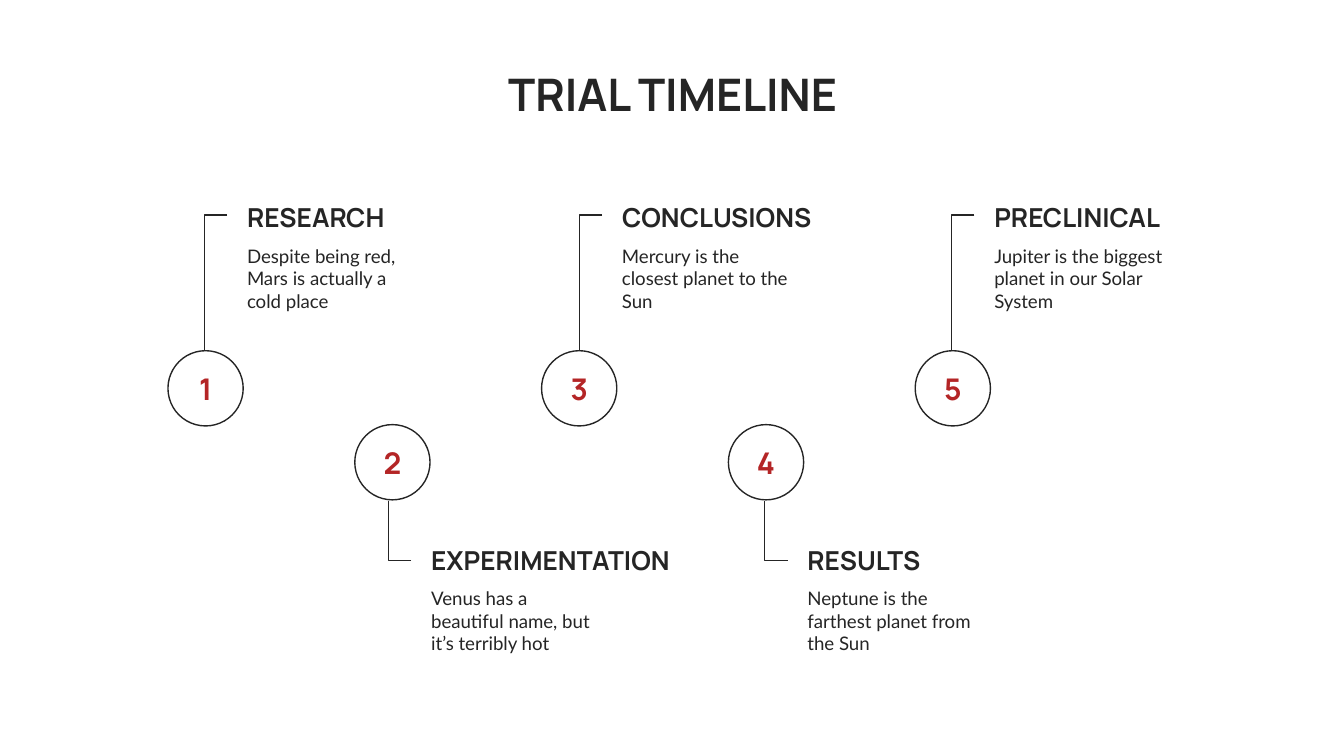
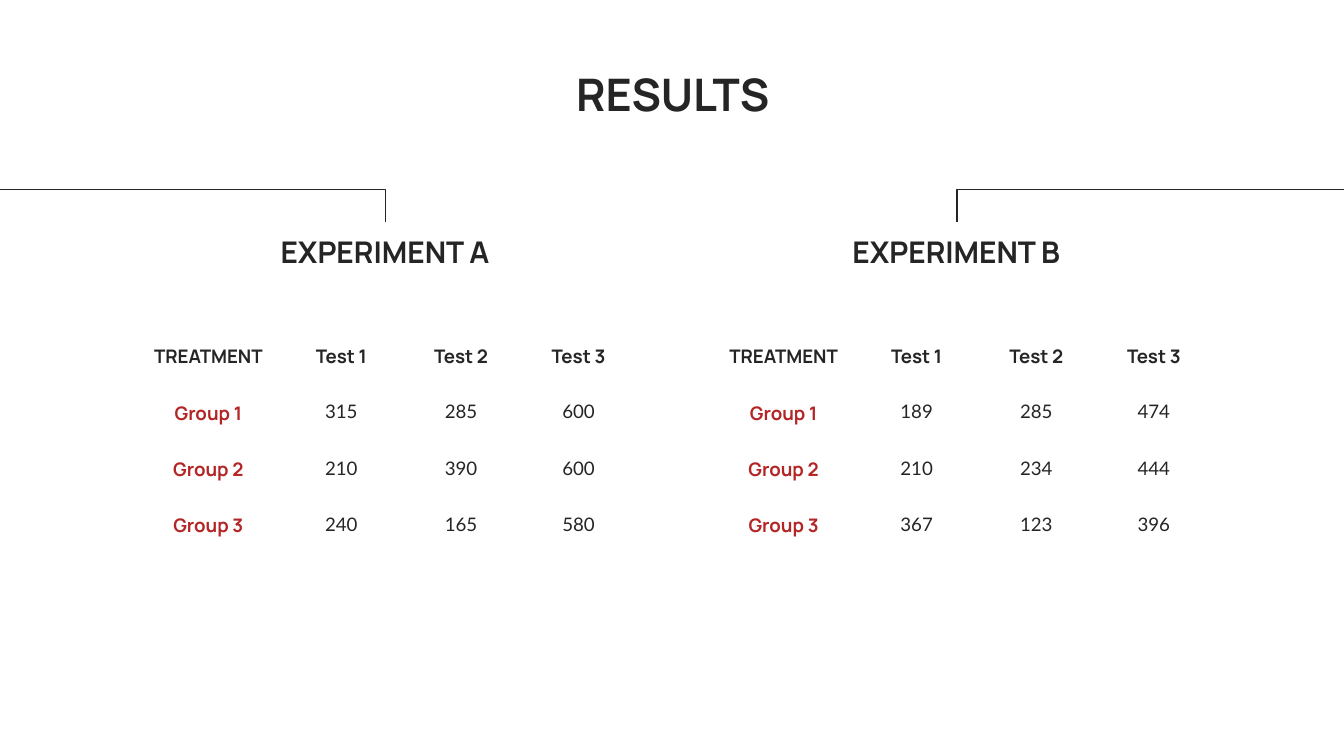
from dataclasses import dataclass

from pptx import Presentation
from pptx import util as u
from pptx.dml.color import RGBColor
from pptx.enum import shapes, text


@dataclass(frozen=True)
class Theme:
    ink: RGBColor = RGBColor(0x25, 0x25, 0x25)
    accent: RGBColor = RGBColor(0xB4, 0x25, 0x26)
    paper: RGBColor = RGBColor(0xFF, 0xFF, 0xFF)
    display: str = "Manrope"
    body: str = "Lato"
    title_size: int = 24
    large_size: int = 16
    heading_size: int = 14
    body_size: int = 10
    line_width: float = 0.75
    inset: float = 0.1


THEME = Theme()
LEFT, CENTER = text.PP_ALIGN.LEFT, text.PP_ALIGN.CENTER
TOP, MIDDLE, BOTTOM = (text.MSO_ANCHOR.TOP, text.MSO_ANCHOR.MIDDLE,
                       text.MSO_ANCHOR.BOTTOM)
SLIDE_WIDTH = 10
SLIDE_HEIGHT = SLIDE_WIDTH * 9 / 16
TITLE_ONLY = 5

CIRCLE_SIZE, FIRST_CIRCLE, CIRCLE_PITCH = 0.56, 1.25, 1.39
UPPER = {"circle": 2.61, "heading": 1.4, "elbow": 1.6, "joint": 2.61}
LOWER = {"circle": 3.16, "heading": 3.95, "elbow": 4.17, "joint": 3.73}

# heading, description, elbow x, heading width
STEPS = [
    ("RESEARCH", "Despite being red, Mars is actually a cold place", 1.52, 1.47),
    ("EXPERIMENTATION", "Venus has a beautiful name, but it’s terribly hot", 2.89, 2.35),
    ("CONCLUSIONS", "Mercury is the closest planet to the Sun", 4.31, 1.78),
    ("RESULTS", "Neptune is the farthest planet from the Sun", 5.69, 1.34),
    ("PRECLINICAL", "Jupiter is the biggest planet in our Solar System", 7.08, 1.47),
]

TESTS = ["TREATMENT", "Test 1", "Test 2", "Test 3"]
COLUMN_WIDTHS = [1.08, 0.9, 0.88, 0.87]
ROW_HEIGHTS = [0.43] + [0.42] * 4

# heading, elbow x, slide edge x, table left, values by group
EXPERIMENTS = [
    ("EXPERIMENT A", 2.87, 0, 1.01,
     [(315, 285, 600), (210, 390, 600), (240, 165, 580)]),
    ("EXPERIMENT B", 7.12, SLIDE_WIDTH, 5.29,
     [(189, 285, 474), (210, 234, 444), (367, 123, 396)]),
]


def inches(*lengths):
    return [u.Inches(length) for length in lengths]


def apply(target, values):
    for name, value in values.items():
        setattr(target, name, value)


def margins(inset):
    sides = ("left", "right", "top", "bottom")
    return {f"margin_{side}": u.Inches(inset) for side in sides}


def write(paragraph, words, size, font=THEME.display, color=THEME.ink, align=LEFT):
    """Display type is bold; body type is regular."""
    paragraph.alignment = align
    run = paragraph.add_run()
    run.text = words
    apply(run.font, {"name": font, "size": u.Pt(size),
                     "bold": font == THEME.display})
    run.font.color.rgb = color


def write_frame(frame, words, size, anchor=TOP, inset=THEME.inset, **style):
    apply(frame, {"word_wrap": True, "auto_size": text.MSO_AUTO_SIZE.NONE,
                  "vertical_anchor": anchor, **margins(inset)})
    write(frame.paragraphs[0], words, size, **style)


def add_titled_slide(deck, heading):
    slide = deck.slides.add_slide(deck.slide_layouts[TITLE_ONLY])
    slide.background.fill.solid()
    slide.background.fill.fore_color.rgb = THEME.paper
    title = slide.shapes.title
    apply(title, dict(zip(("left", "top", "width", "height"),
                          inches(2.39, 0.3, 5.23, 0.7))))
    write_frame(title.text_frame, heading, THEME.title_size,
                anchor=BOTTOM, align=CENTER)
    return slide


def add_text(slide, box, words, size, **style):
    label = slide.shapes.add_textbox(*inches(*box))
    write_frame(label.text_frame, words, size, **style)


def draw_outline(shape):
    shape.shadow.inherit = False
    shape.fill.background()
    shape.line.color.rgb = THEME.ink
    shape.line.width = u.Pt(THEME.line_width)


def add_elbow(slide, start, corner, end):
    builder = slide.shapes.build_freeform(*inches(*start))
    builder.add_line_segments([inches(*corner), inches(*end)], close=False)
    draw_outline(builder.convert_to_shape())


def add_numbered_circle(slide, number, left, top):
    circle = slide.shapes.add_shape(
        shapes.MSO_SHAPE.OVAL, *inches(left, top, CIRCLE_SIZE, CIRCLE_SIZE))
    draw_outline(circle)
    write_frame(circle.text_frame, str(number), THEME.large_size, anchor=MIDDLE,
                inset=0, color=THEME.accent, align=CENTER)


def add_step(slide, index, heading, description, elbow_x, heading_width):
    row = LOWER if index % 2 else UPPER
    text_left = elbow_x + 0.22
    add_numbered_circle(slide, index + 1,
                        FIRST_CIRCLE + index * CIRCLE_PITCH, row["circle"])
    add_elbow(slide, (elbow_x + 0.17, row["elbow"]), (elbow_x, row["elbow"]),
              (elbow_x, row["joint"]))
    add_text(slide, (text_left, row["heading"], heading_width, 0.42),
             heading, THEME.heading_size)
    add_text(slide, (text_left, row["heading"] + 0.32, 1.47, 0.79),
             description, THEME.body_size, font=THEME.body)


def add_results_table(slide, left, groups):
    """The top row stays empty, with its test columns merged."""
    frame = slide.shapes.add_table(
        len(ROW_HEIGHTS), len(COLUMN_WIDTHS),
        *inches(left, 2.03, sum(COLUMN_WIDTHS), sum(ROW_HEIGHTS)))
    table = frame.table
    apply(table, {"first_row": False, "horz_banding": False})
    for column, width in zip(table.columns, COLUMN_WIDTHS):
        column.width = u.Inches(width)
    for row, height in zip(table.rows, ROW_HEIGHTS):
        row.height = u.Inches(height)
    for cell in table.iter_cells():
        cell.fill.background()
    table.cell(0, 1).merge(table.cell(0, 3))

    rows = [TESTS] + [(f"Group {number}", *values)
                      for number, values in enumerate(groups, 1)]
    for row_index, values in enumerate(rows, 1):
        for column_index, value in enumerate(values):
            cell = table.cell(row_index, column_index)
            apply(cell, margins(THEME.inset))
            is_group = row_index > 1 and column_index == 0
            is_value = row_index > 1 and column_index > 0
            write(cell.text_frame.paragraphs[0], str(value), THEME.body_size,
                  font=THEME.body if is_value else THEME.display,
                  color=THEME.accent if is_group else THEME.ink, align=CENTER)


def add_experiment(slide, heading, elbow_x, edge_x, table_left, groups):
    add_results_table(slide, table_left, groups)
    add_text(slide, (elbow_x - 1.26, 1.64, 2.51, 0.42), heading,
             THEME.large_size, align=CENTER)
    add_elbow(slide, (elbow_x, 1.65), (elbow_x, 1.41), (edge_x, 1.41))


def main():
    deck = Presentation()
    deck.slide_width, deck.slide_height = inches(SLIDE_WIDTH, SLIDE_HEIGHT)

    timeline = add_titled_slide(deck, "TRIAL TIMELINE")
    for index, step in enumerate(STEPS):
        add_step(timeline, index, *step)

    results = add_titled_slide(deck, "RESULTS")
    for experiment in EXPERIMENTS:
        add_experiment(results, *experiment)

    deck.save("out.pptx")


if __name__ == "__main__":
    main()
